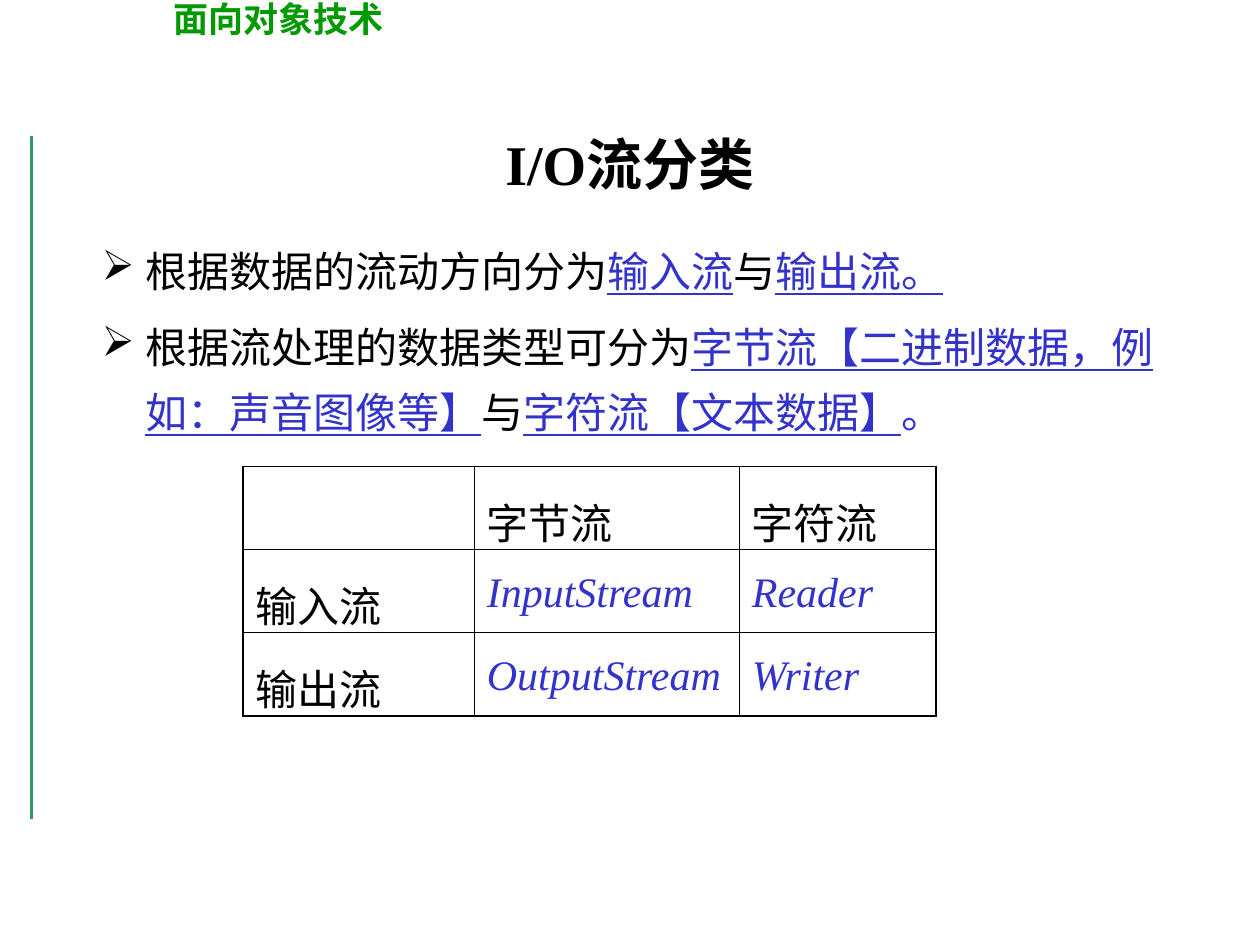
from pptx import Presentation
from pptx.util import Pt
from pptx.dml.color import RGBColor
from pptx.enum.shapes import MSO_CONNECTOR as Link
from pptx.enum.text import MSO_ANCHOR as Anchor, PP_ALIGN as Align
from pptx.oxml import parse_xml
from pptx.oxml.ns import nsdecls
from lxml.etree import SubElement

NS = nsdecls("a")
BLACK, BLUE = "000000", "3333CC"


def write(para, text, size=24, color=BLACK, bold=False, italic=False, under=False):
    """Add a run in Times New Roman, with Noto Sans CJK SC for Chinese."""
    run = para.add_run()
    run.text = text
    font = run.font
    font.name = "Times New Roman"
    font.size = Pt(size)
    font.color.rgb = RGBColor.from_string(color)
    font.bold, font.italic, font.underline = bold, italic, under
    font.fill  # colour is solid before the East Asian face is added
    run._r.get_or_add_rPr().append(
        parse_xml(f'<a:ea {NS} typeface="Noto Sans CJK SC"/>'))


def frame(slide, left, top, width, height):
    box = slide.shapes.add_textbox(Pt(left), Pt(top), Pt(width), Pt(height))
    box.text_frame.word_wrap = True
    return box.text_frame


deck = Presentation()
deck.slide_width, deck.slide_height = Pt(720), Pt(540)
slide = deck.slides.add_slide(deck.slide_layouts[6])

# Side rule
rule = slide.shapes.add_connector(Link.STRAIGHT, Pt(18), Pt(78), Pt(18), Pt(468))
rule.line.color.rgb = RGBColor.from_string("339966")
rule.line.width = Pt(2.25)
rule._element.spPr.append(parse_xml(f"<a:effectLst {NS}/>"))

# Course name
course = frame(slide, 60, -5, 414, 31.5)
course.margin_left = Pt(39)
write(course.paragraphs[0], "面向对象技术", size=20, color="009900", bold=True)

# Title
title = frame(slide, 54, 48, 612, 90)
title.vertical_anchor = Anchor.MIDDLE
title.paragraphs[0].alignment = Align.CENTER
write(title.paragraphs[0], "I/O流分类", size=32, bold=True)

# Bullets: pairs of text and whether it is a key term
points = [
    [("根据数据的流动方向分为", False), ("输入流", True), ("与", False),
     ("输出流。", True)],
    [("根据流处理的数据类型可分为", False),
     ("字节流【二进制数据，例如：声音图像等】", True), ("与", False),
     ("字符流【文本数据】", True), ("。", BLUE)],
]
body = frame(slide, 42, 128, 630, 136)
for n, parts in enumerate(points):
    para = body.add_paragraph() if n else body.paragraphs[0]
    props = para._p.get_or_add_pPr()
    props.set("marL", str(Pt(34)))
    props.set("indent", str(-Pt(25)))
    props.append(parse_xml(
        f'<a:buClr {NS}><a:srgbClr val="{BLACK}"/></a:buClr>'))
    props.append(parse_xml(f'<a:buChar {NS} char="➢"/>'))
    para.line_spacing = 1.3
    if n:
        para.space_before = Pt(6)
    for text, key in parts:
        write(para, text, color=BLUE if key else BLACK, under=key is True)

# Table of stream classes
rows = [
    ["", "字节流", "字符流"],
    ["输入流", "InputStream", "Reader"],
    ["输出流", "OutputStream", "Writer"],
]
widths = [132, 151.5, 112.5]
last = len(rows) - 1
table = slide.shapes.add_table(
    3, 3, Pt(139), Pt(266.5), Pt(sum(widths)), Pt(142.5)).table
table.first_row = table.horz_banding = False
for col, width in zip(table.columns, widths):
    col.width = Pt(width)

for r, row in enumerate(rows):
    for c, text in enumerate(row):
        cell = table.cell(r, c)
        cell.fill.background()
        if text:
            para = cell.text_frame.paragraphs[0]
            para.line_spacing = 1.3
            name = r > 0 and c > 0
            write(para, text, color=BLUE if name else BLACK, italic=name)
        props = cell._tc.get_or_add_tcPr()
        outer = {"L": c == 0, "R": c == last, "T": r == 0, "B": r == last}
        for n, (side, edge) in enumerate(outer.items()):
            wide = Pt(1.08 if edge else 0.45)
            props.insert(n, parse_xml(
                f'<a:ln{side} {NS} w="{wide}"><a:solidFill>'
                f'<a:srgbClr val="{BLACK}"/></a:solidFill></a:ln{side}>'))

deck.save("out.pptx")
